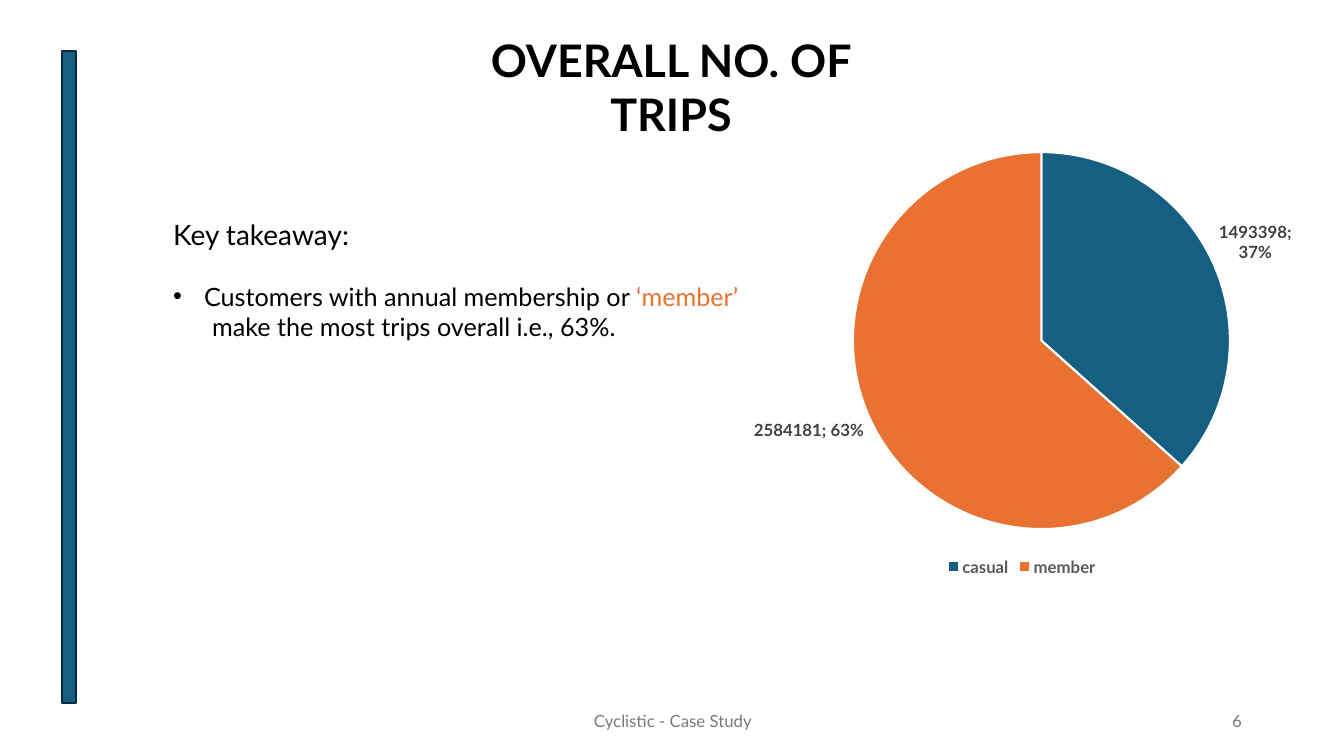
from lxml.etree import SubElement
from pptx import Presentation
from pptx.chart.data import CategoryChartData
from pptx.dml.color import RGBColor
from pptx.enum.chart import XL_CHART_TYPE, XL_LABEL_POSITION, XL_LEGEND_POSITION
from pptx.enum.shapes import MSO_SHAPE
from pptx.enum.text import MSO_ANCHOR, MSO_AUTO_SIZE, PP_ALIGN
from pptx.oxml import parse_xml
from pptx.oxml.ns import nsdecls, qn
from pptx.util import Pt

SCALE = 914400 / 100.8
FACE = "Lato"
COLORS = {
    "black": "000000",
    "white": "FFFFFF",
    "teal": "156082",
    "navy": "092A39",
    "orange": "E97132",
    "gray": "797979",
    "label": "404040",
    "legend": "595959",
}


def px(n):
    return round(n * SCALE)


def color(name):
    return RGBColor.from_string(COLORS[name])


def style(font, size, tone, bold=False):
    font.name = FACE
    font.size = Pt(size)
    font.bold = bold
    font.color.rgb = color(tone)


def place(shape, box):
    shape.left, shape.top, shape.width, shape.height = map(px, box)


def setup(frame, anchor):
    frame.word_wrap = True
    frame.auto_size = MSO_AUTO_SIZE.NONE
    frame.vertical_anchor = anchor


def add_run(para, text, size, tone="black", bold=False):
    run = para.add_run()
    run.text = text
    style(run.font, size, tone, bold)


def indent(para, left, hang=0, bullet=None):
    props = para._p.get_or_add_pPr()
    props.set("marL", str(px(left)))
    props.set("indent", str(px(-hang)))
    if bullet:
        SubElement(props, qn("a:buFont")).set("typeface", "Arial")
        SubElement(props, qn("a:buChar")).set("char", bullet)
    else:
        SubElement(props, qn("a:buNone"))


def add_title(slide, text, box):
    title = slide.shapes.title
    place(title, box)
    setup(title.text_frame, MSO_ANCHOR.TOP)
    para = title.text_frame.paragraphs[0]
    para.alignment = PP_ALIGN.CENTER
    add_run(para, text, 32, bold=True)


def add_notes(slide, box):
    body = slide.placeholders[1]
    place(body, box)
    frame = body.text_frame
    setup(frame, MSO_ANCHOR.TOP)
    head, point, rest = frame.paragraphs[0], frame.add_paragraph(), frame.add_paragraph()
    for para in (head, point, rest):
        para.space_before = Pt(0)
    point.space_before = Pt(21.6)
    indent(head, 0)
    indent(point, 31, 31, "•")
    indent(rest, 39)
    add_run(head, "Key takeaway:", 20)
    add_run(point, "Customers with annual membership or ", 18)
    add_run(point, "‘member’", 18, "orange")
    add_run(rest, "make the most trips overall i.e., 63%.", 18)


def add_bar(slide, box):
    bar = slide.shapes.add_shape(MSO_SHAPE.RECTANGLE, *map(px, box))
    bar.shadow.inherit = False
    bar.fill.solid()
    bar.fill.fore_color.rgb = color("teal")
    bar.line.color.rgb = color("navy")
    bar.line.width = Pt(1.5)


def add_foot(slide, text, box, align):
    frame = slide.shapes.add_textbox(*map(px, box)).text_frame
    setup(frame, MSO_ANCHOR.MIDDLE)
    para = frame.paragraphs[0]
    para.alignment = align
    add_run(para, text, 12, "gray")


def set_plot(chart, **parts):
    layout = parse_xml(
        f'<c:layout {nsdecls("c")}><c:manualLayout>'
        '<c:layoutTarget val="inner"/><c:xMode val="edge"/><c:yMode val="edge"/>'
        + "".join(f'<c:{key} val="{val}"/>' for key, val in parts.items())
        + "</c:manualLayout></c:layout>"
    )
    area = chart._chartSpace.chart.plotArea
    for old in area.findall(qn("c:layout")):
        area.remove(old)
    area.insert(0, layout)


def add_pie(slide, trips, tones, box):
    data = CategoryChartData()
    data.categories = list(trips)
    data.add_series("Series 1", list(trips.values()))
    chart = slide.shapes.add_chart(XL_CHART_TYPE.PIE, *map(px, box), data).chart
    chart.has_title = False
    style(chart.font, 10, "black")
    chart.has_legend = True
    chart.legend.position = XL_LEGEND_POSITION.BOTTOM
    chart.legend.include_in_layout = False
    style(chart.legend.font, 12, "legend", True)
    plot = chart.plots[0]
    plot.vary_by_categories = True
    for i, tone in enumerate(tones):
        form = plot.series[0].points[i].format
        form.fill.solid()
        form.fill.fore_color.rgb = color(tone)
        form.line.color.rgb = color("white")
        form.line.width = Pt(1.5)
    labels = plot.series[0].data_labels
    labels.show_value = True
    labels.show_percentage = True
    labels.position = XL_LABEL_POSITION.OUTSIDE_END
    style(labels.font, 12, "label", True)
    set_plot(chart, x=0.24, y=0.03, w=0.58, h=0.86)


def main():
    deck = Presentation()
    deck.slide_width, deck.slide_height = px(1344), px(756)
    slide = deck.slides.add_slide(deck.slide_layouts[1])
    add_title(slide, "OVERALL NO. OF TRIPS", (425, 28, 492, 65))
    add_bar(slide, (62, 51, 14, 652))
    add_foot(slide, "Cyclistic - Case Study", (446, 701, 454, 40), PP_ALIGN.CENTER)
    add_foot(slide, "6", (950, 701, 302, 40), PP_ALIGN.RIGHT)
    trips = {"casual": 1493398, "member": 2584181}
    add_pie(slide, trips, ("teal", "orange"), (697, 136, 650, 445))
    add_notes(slide, (163, 212, 595, 136))
    deck.save("out.pptx")


if __name__ == "__main__":
    main()
